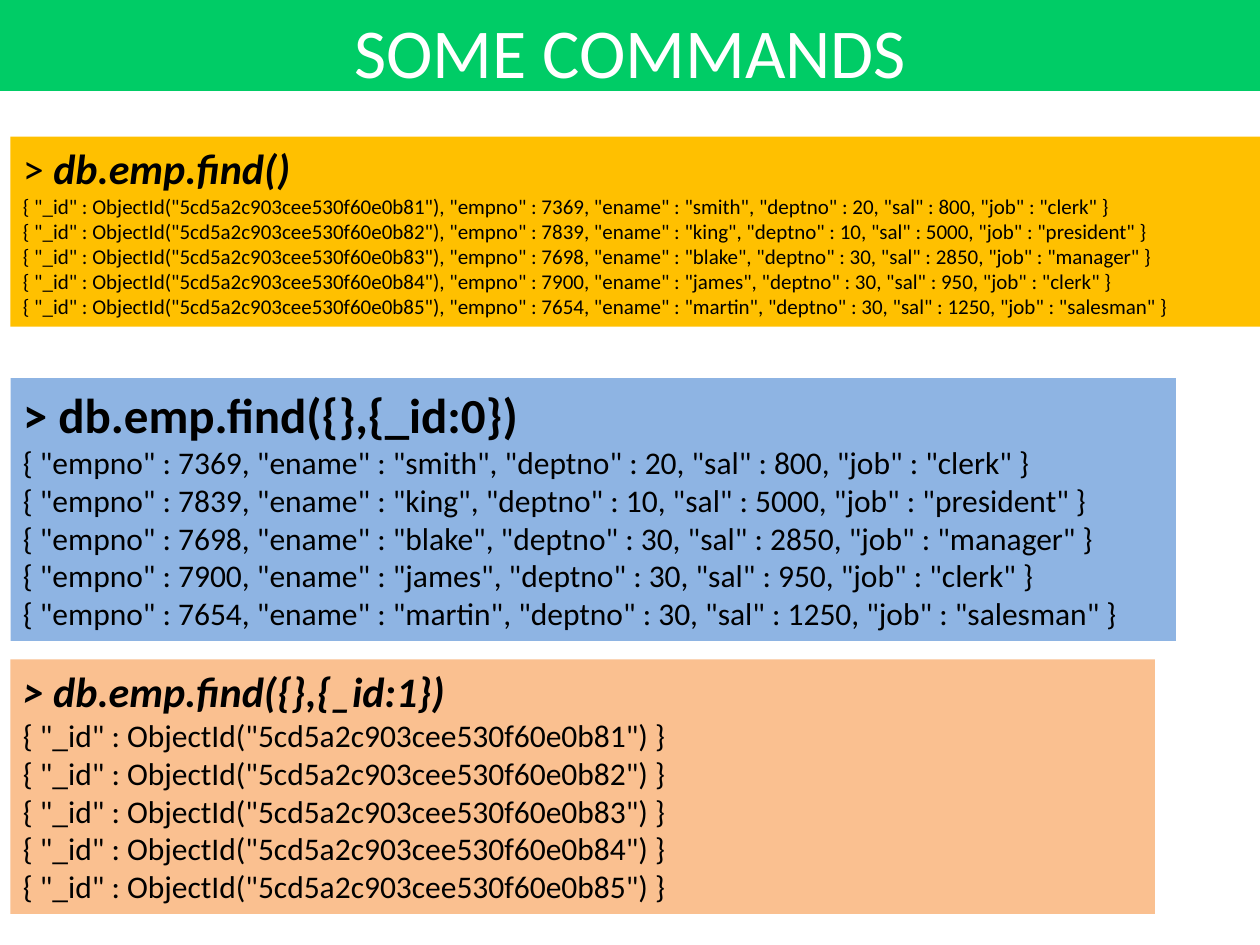
"""Builds a slide that shows three find commands and their output."""
import pptx
import pptx.dml.color
import pptx.enum.text
import pptx.util

Pt = pptx.util.Pt
FONT = "Calibri"
TITLE = "SOME COMMANDS"
STAFF = [
    ("81", 7369, "smith", 20, 800, "clerk"),
    ("82", 7839, "king", 10, 5000, "president"),
    ("83", 7698, "blake", 30, 2850, "manager"),
    ("84", 7900, "james", 30, 950, "clerk"),
    ("85", 7654, "martin", 30, 1250, "salesman"),
]
ID = '"_id" : ObjectId("5cd5a2c903cee530f60e0b{0}")'
DATA = '"empno" : {1}, "ename" : "{2}", "deptno" : {3}, "sal" : {4}, "job" : "{5}"'
LEFT = 6
PANELS = [
    dict(top=78, width=714, height=108.6, fill="FFC000", size=24, small=12,
         head=[("> ", False, False), ("db.emp.find()", True, True)], row=ID + ", " + DATA),
    dict(top=216, width=666, height=150.2, fill="8EB4E3", size=28, small=18,
         head=[("> db.emp.find({},{_id:0})", True, False)], row=DATA),
    dict(top=376.8, width=654, height=145.4, fill="FAC090", size=24, small=18,
         head=[("> db.emp.find({},{_id:1})", True, True)], row=ID),
]


def paint(target, shade):
    target.solid()
    target.fore_color.rgb = pptx.dml.color.RGBColor.from_string(shade)


def place(shape, left, top, width, height):
    shape.left, shape.top = Pt(left), Pt(top)
    shape.width, shape.height = Pt(width), Pt(height)


def write(para, text, size, shade="000000", bold=False, slant=False):
    run = para.add_run()
    run.text = text
    font = run.font
    font.name, font.size, font.bold, font.italic = FONT, Pt(size), bold, slant
    paint(font.fill, shade)


def add_title(slide):
    title = slide.shapes.title
    place(title, 0, 0, 720, 51.4)
    paint(title.fill, "00CC66")
    paint(title.line.fill, "00CC66")
    title.line.width = Pt(0.75)
    frame = title.text_frame
    frame.auto_size = pptx.enum.text.MSO_AUTO_SIZE.NONE
    frame.vertical_anchor = pptx.enum.text.MSO_ANCHOR.TOP
    frame.margin_top = Pt(5)
    para = frame.paragraphs[0]
    para.alignment = pptx.enum.text.PP_ALIGN.CENTER
    write(para, TITLE, 40, "FFFFFF")


def add_panel(slide, panel):
    box = slide.shapes.add_textbox(0, 0, 0, 0)
    place(box, LEFT, panel["top"], panel["width"], panel["height"])
    paint(box.fill, panel["fill"])
    frame = box.text_frame
    frame.word_wrap = True
    frame.auto_size = pptx.enum.text.MSO_AUTO_SIZE.SHAPE_TO_FIT_TEXT
    for text, bold, slant in panel["head"]:
        write(frame.paragraphs[0], text, panel["size"], bold=bold, slant=slant)
    for person in STAFF:
        line = "{ " + panel["row"].format(*person) + " }"
        write(frame.add_paragraph(), line, panel["small"])


def main():
    deck = pptx.Presentation()
    deck.slide_width, deck.slide_height = Pt(720), Pt(540)
    slide = deck.slides.add_slide(deck.slide_layouts[5])
    add_title(slide)
    for panel in PANELS:
        add_panel(slide, panel)
    deck.save("out.pptx")


if __name__ == "__main__":
    main()
